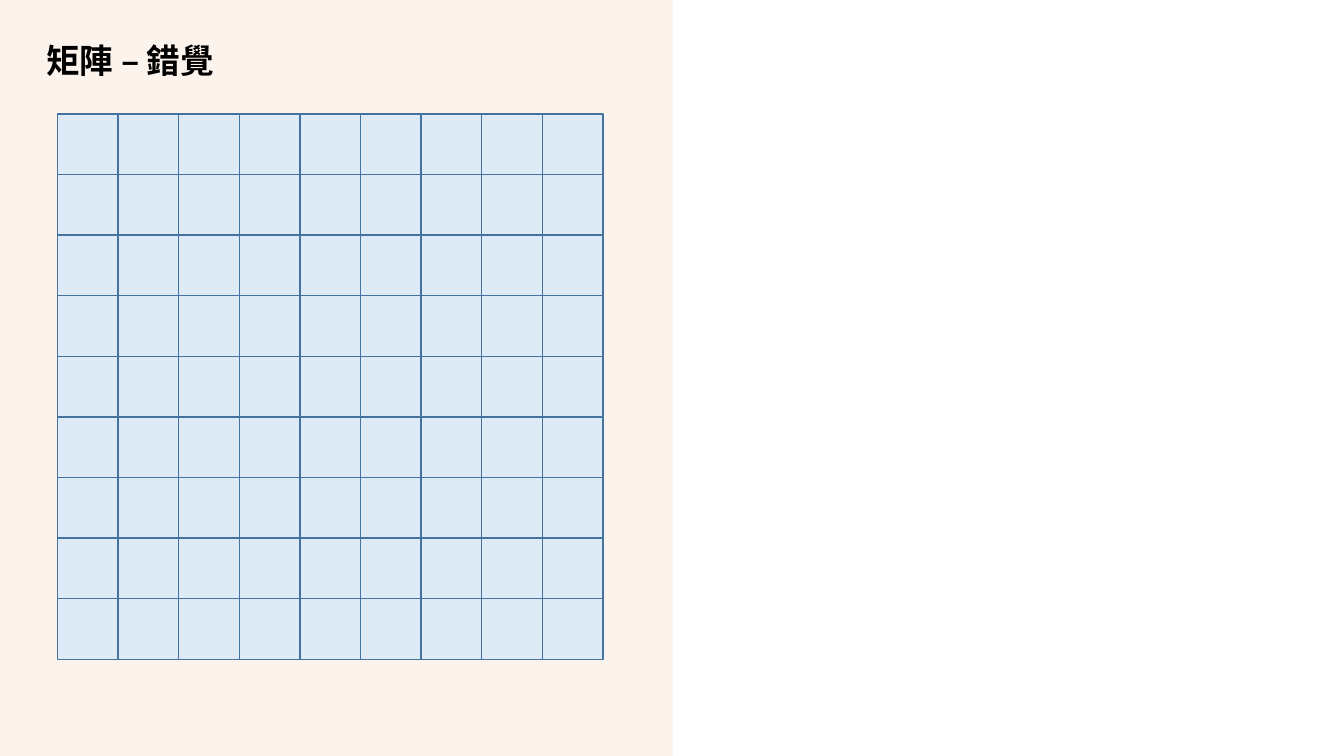
from dataclasses import dataclass
from itertools import product

from lxml.etree import SubElement
from pptx import Presentation
from pptx.dml.color import RGBColor
from pptx.enum.shapes import MSO_CONNECTOR as CONN, MSO_SHAPE as SHAPE
from pptx.enum.text import MSO_ANCHOR as ANCHOR, PP_ALIGN as ALIGN
from pptx.oxml.ns import qn
from pptx.shapes.autoshape import Shape
from pptx.slide import Slide
from pptx.util import Inches, Pt

FONT = "Noto Sans CJK SC"
GRID_LEFT, GRID_TOP, GRID_SIZE, GRID_COUNT = 0.57, 1.13, 5.41, 9


@dataclass(frozen=True)
class Cell:
    left: float
    top: float
    size: float
    fill: str = "DEEBF7"
    line: str = "43739E"


def rgb(value: str) -> RGBColor:
    return RGBColor.from_string(value)


def set_alpha(fill, percent: int) -> None:
    color = fill._xPr.find(qn("a:solidFill"))[0]
    SubElement(color, qn("a:alpha"), val=str(percent * 1000))


def add_rect(s: Slide, left: float, top: float, width: float, height: float, fill: str) -> Shape:
    sp = s.shapes.add_shape(SHAPE.RECTANGLE, Inches(left), Inches(top), Inches(width), Inches(height))
    sp.shadow.inherit = False
    sp.fill.solid()
    sp.fill.fore_color.rgb = rgb(fill)
    return sp


def add_panel(s: Slide) -> None:
    panel = add_rect(s, 0, 0, 6.67, 7.5, "F4B183")
    panel.line.fill.background()
    set_alpha(panel.fill, 14)

    edge = s.shapes.add_connector(CONN.STRAIGHT, Inches(6.67), Inches(7.5), Inches(6.67), Inches(0))
    edge.line.width = Pt(0.25)
    edge.line.color.rgb = rgb("FBE5D6")
    set_alpha(edge.line.fill, 50)
    SubElement(edge._element.spPr, qn("a:effectLst"))


def add_title(s: Slide, text: str) -> None:
    sp = s.shapes.add_textbox(Inches(0.36), Inches(0.4), Inches(5.95), Inches(0.44))
    tf = sp.text_frame
    tf.word_wrap = True
    tf.vertical_anchor = ANCHOR.MIDDLE
    p = tf.paragraphs[0]
    p.alignment = ALIGN.LEFT
    p.line_spacing = 0.9
    r = p.add_run()
    r.text = text
    r.font.name = FONT
    r.font.size = Pt(24)
    r.font.bold = True
    r.font.color.rgb = rgb("000000")
    SubElement(r.font._element, qn("a:ea"), typeface=FONT)


def add_cell(s: Slide, cell: Cell) -> None:
    sp = add_rect(s, cell.left, cell.top, cell.size, cell.size, cell.fill)
    sp.line.color.rgb = rgb(cell.line)
    sp.line.width = Pt(1)


def main() -> None:
    prs = Presentation()
    prs.slide_width, prs.slide_height = Inches(13.33), Inches(7.5)
    s = prs.slides.add_slide(prs.slide_layouts[6])

    add_panel(s)
    add_title(s, "矩陣 – 錯覺")
    size = GRID_SIZE / GRID_COUNT
    for row, col in product(range(GRID_COUNT), repeat=2):
        add_cell(s, Cell(GRID_LEFT + col * size, GRID_TOP + row * size, size))

    prs.save("out.pptx")


if __name__ == "__main__":
    main()
